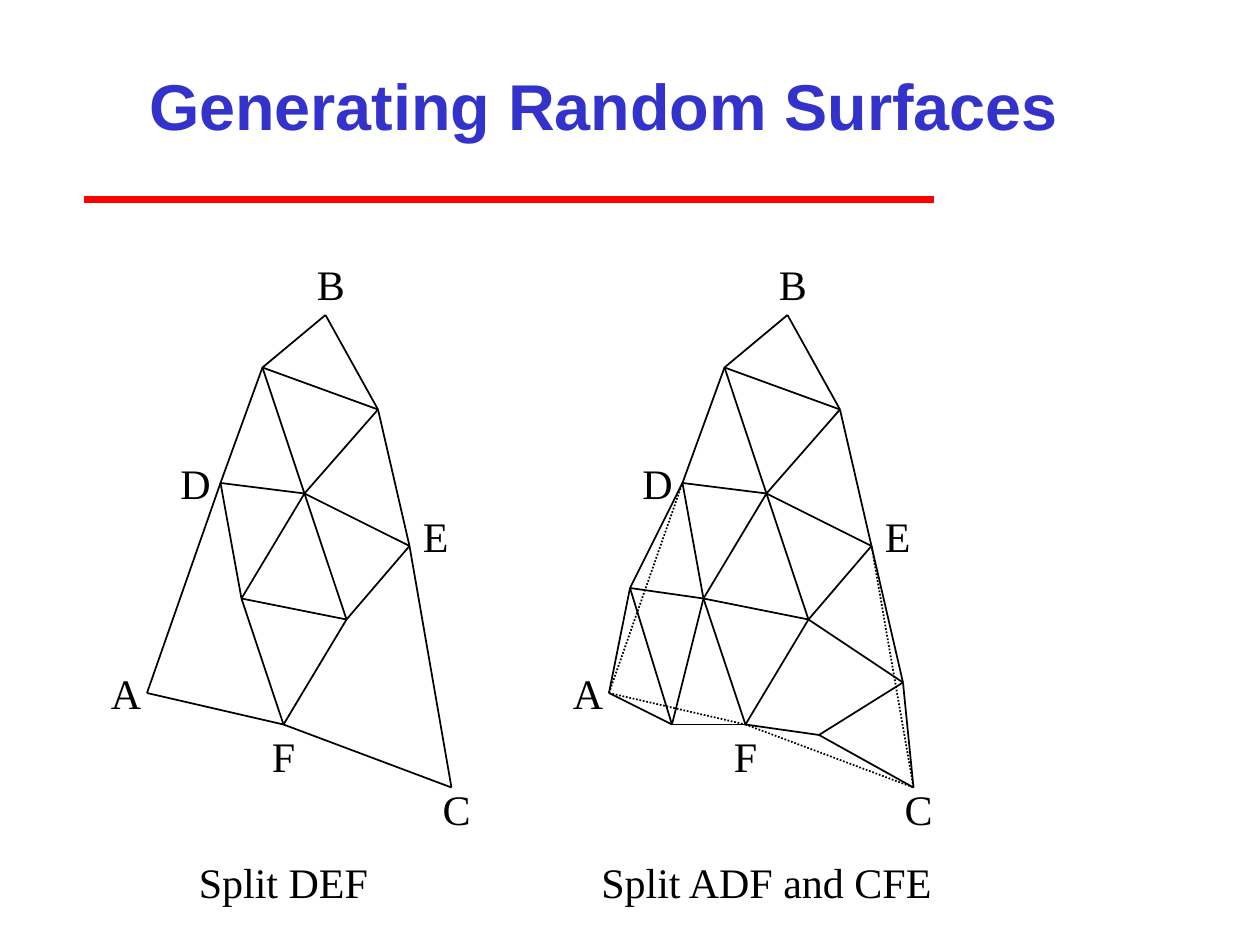
import pptx
import pptx.util
import pptx.dml.color
import pptx.enum.dml
import pptx.enum.shapes
import pptx.enum.text
import lxml.etree

Inches = pptx.util.Inches
Pt = pptx.util.Pt


def color(code):
    return pptx.dml.color.RGBColor.from_string(code)


def grid(n):
    return Inches(n / 12)


class Board:
    ink = "000000"
    font = "Times New Roman"
    size = 24

    def __init__(self, slide):
        self.slide = slide

    def line(self, start, end, ink=ink, width=1, dots=False):
        kind = pptx.enum.shapes.MSO_CONNECTOR.STRAIGHT
        ends = [grid(n) for n in (*start, *end)]
        link = self.slide.shapes.add_connector(kind, *ends)
        link.line.color.rgb = color(ink)
        link.line.width = Pt(width)
        if dots:
            link.line.dash_style = pptx.enum.dml.MSO_LINE.ROUND_DOT
        tag = pptx.oxml.ns.qn("a:effectLst")
        lxml.etree.SubElement(link._element.spPr, tag)

    def text(self, words, left, top, width, height=6, font=font, size=size,
             ink=ink, bold=False, middle=False):
        area = [grid(n) for n in (left, top, width, height)]
        frame = self.slide.shapes.add_textbox(*area).text_frame
        frame.word_wrap = True
        anchor = pptx.enum.text.MSO_ANCHOR
        frame.vertical_anchor = anchor.MIDDLE if middle else anchor.TOP
        para = frame.paragraphs[0]
        para.alignment = pptx.enum.text.PP_ALIGN.CENTER
        run = para.add_run()
        run.text = words
        run.font.name = font
        run.font.size = Pt(size)
        run.font.bold = bold
        run.font.color.rgb = color(ink)

    def mesh(self, edges, shift, dots=False):
        for a, b in edges.split():
            start, end = ((NODES[n][0] + shift, NODES[n][1]) for n in (a, b))
            self.line(start, end, dots=dots)


NODES = {
    "A": (14, 66), "B": (31, 30), "C": (43, 75), "D": (21, 46),
    "E": (39, 52), "F": (27, 69), "G": (25, 35), "H": (36, 39),
    "K": (29, 47), "L": (23, 57), "M": (33, 59), "N": (16, 56),
    "P": (20, 69), "Q": (42, 65), "R": (34, 70),
}
LABELS = {
    "A": (9, 63, 6), "B": (29, 24, 5), "C": (40, 74, 7),
    "D": (16, 43, 5), "E": (38, 48, 7), "F": (24, 69, 6),
}
OUTER = "AD AF FC EC"
INNER = "DG GB GH KH KG HB HE KE KD LK MK ML FM EM LF LD"
SPLIT = "NL NP PL PF PA NA ND MQ RQ QE RF RC QC"


def main():
    deck = pptx.Presentation()
    deck.slide_width = Inches(10)
    deck.slide_height = Inches(7.5)
    board = Board(deck.slides.add_slide(deck.slide_layouts[6]))

    board.line((8, 19), (89, 19), ink="FF0000", width=4)
    board.text("Generating Random Surfaces", 12, 3, 91, 14, font="Arial",
               size=37, ink="3333CC", bold=True, middle=True)

    for shift, dots in ((0, False), (44, True)):
        board.mesh(OUTER, shift, dots)
        board.mesh(INNER, shift)
        for name, (left, top, width) in LABELS.items():
            board.text(name, left + shift, top, width)
    board.mesh(SPLIT, 44)

    board.text("Split DEF", 9, 81, 36)
    board.text("Split ADF and CFE", 55, 81, 36)
    deck.save("out.pptx")


if __name__ == "__main__":
    main()
